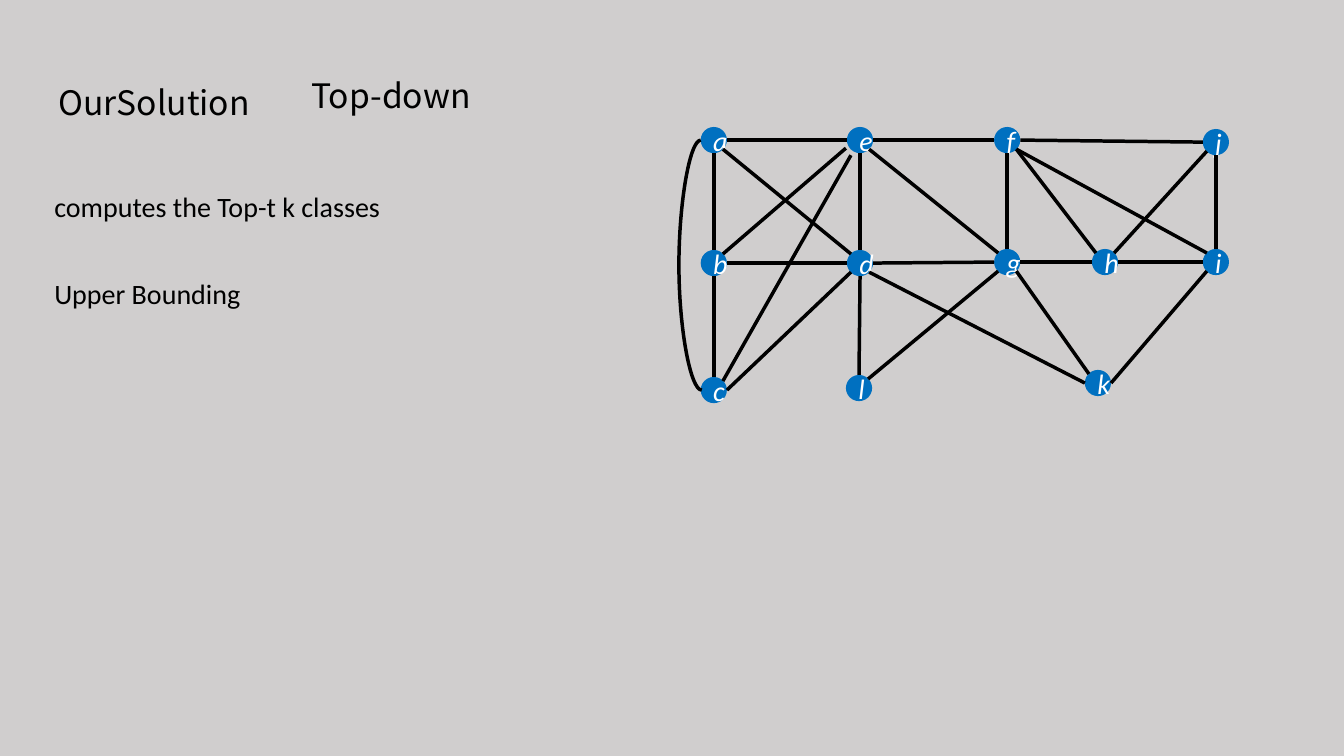
"""Build the slide with the top-down solution notes and the example graph."""
import pptx
import pptx.dml.color
import pptx.enum.shapes
import pptx.enum.text
import pptx.util
from lxml import etree
from pptx.util import Inches

THEME = {
    "background": pptx.dml.color.RGBColor.from_string("D0CECE"),
    "ink": pptx.dml.color.RGBColor.from_string("000000"),
    "node": pptx.dml.color.RGBColor.from_string("0070C0"),
    "label": pptx.dml.color.RGBColor.from_string("FFFFFF"),
    "heading": {"name": "Noto Sans CJK SC", "size": pptx.util.Pt(24)},
    "body": {"name": "Calibri", "size": pptx.util.Pt(20)},
    "node_text": {"name": "Calibri", "size": pptx.util.Pt(20), "italic": True},
    "edge_width": pptx.util.Pt(2.5),
}
DIAMETER = 0.26
RADIUS = DIAMETER / 2
A_NAMESPACE = "{http://schemas.openxmlformats.org/drawingml/2006/main}"


def write_text(shape, text, style, color):
    """Put one styled run into the shape and return its paragraph."""
    paragraph = shape.text_frame.paragraphs[0]
    run = paragraph.add_run()
    run.text = text
    for name, value in THEME[style].items():
        setattr(run.font, name, value)
    run.font.color.rgb = THEME[color]
    return paragraph


def add_edge(kind, start, end):
    """Draw one graph edge between two points given in inches."""
    edge = slide.shapes.add_connector(kind, *[Inches(value) for value in (*start, *end)])
    edge.line.color.rgb = THEME["ink"]
    edge.line.width = THEME["edge_width"]
    etree.SubElement(edge._element.spPr, A_NAMESPACE + "effectLst")
    return edge


presentation = pptx.Presentation()
presentation.slide_width = Inches(13.33)
presentation.slide_height = Inches(7.5)
slide = presentation.slides.add_slide(presentation.slide_layouts[6])
slide.background.fill.solid()
slide.background.fill.fore_color.rgb = THEME["background"]

notes = [
    ("OurSolution", "heading", 1.5, (0.48, 0.56, 2.15, 0.64)),
    ("Top-down", "heading", None, (2.99, 0.69, 1.84, 0.5)),
    ("computes the Top-t k classes", "body", None, (0.44, 1.83, 3.47, 0.44)),
    ("Upper Bounding", "body", None, (0.44, 2.69, 2.06, 0.44)),
]
for text, style, line_spacing, box in notes:
    note = slide.shapes.add_textbox(*[Inches(value) for value in box])
    note.text_frame.word_wrap = False
    note.text_frame.auto_size = pptx.enum.text.MSO_AUTO_SIZE.SHAPE_TO_FIT_TEXT
    write_text(note, text, style, "ink").line_spacing = line_spacing

nodes = {
    "a": (7.08, 1.39), "b": (7.08, 2.61), "c": (7.08, 3.87),
    "d": (8.53, 2.61), "e": (8.53, 1.39), "l": (8.52, 3.85),
    "f": (9.99, 1.39), "g": (9.99, 2.6), "j": (12.06, 1.41),
    "h": (10.96, 2.6), "i": (12.06, 2.6), "k": (10.89, 3.8),
}
for letter, (x, y) in nodes.items():
    node = slide.shapes.add_shape(
        pptx.enum.shapes.MSO_SHAPE.OVAL,
        Inches(x - RADIUS), Inches(y - RADIUS), Inches(DIAMETER), Inches(DIAMETER),
    )
    node.shadow.inherit = False
    node.fill.solid()
    node.fill.fore_color.rgb = THEME["node"]
    node.line.fill.background()
    node.text_frame.vertical_anchor = pptx.enum.text.MSO_ANCHOR.MIDDLE
    write_text(node, letter, "node_text", "label").alignment = pptx.enum.text.PP_ALIGN.CENTER

sites = {
    "N": (0, -RADIUS), "S": (0, RADIUS), "W": (-RADIUS, 0), "E": (RADIUS, 0),
    "NW": (-0.09, -0.09), "NE": (0.09, -0.09), "SW": (-0.09, 0.09), "SE": (0.09, 0.09),
    "WSW": (-0.14, 0.08), "SSW": (-0.09, 0.15),
}
edges = [
    "c N b S", "b N a S", "e W a E", "d W b E", "d SW c E", "d N e S",
    "d NW a SE", "e WSW b NE", "e SSW c NE", "g W d E", "f W e E", "g NW e SE",
    "g N f S", "l N d S", "l NE g SW", "h NW f SE", "h W g E", "i W h E",
    "i N j S", "j W f E", "j SW h NE", "i NW f SE", "k NW g SE", "k W d SE", "k E i SW",
]
for edge in edges:
    first, first_site, second, second_site = edge.split()
    start, end = [
        [center + offset for center, offset in zip(nodes[letter], sites[site])]
        for letter, site in ((first, first_site), (second, second_site))
    ]
    add_edge(pptx.enum.shapes.MSO_CONNECTOR.STRAIGHT, start, end)

outer_arc = add_edge(pptx.enum.shapes.MSO_CONNECTOR.CURVE, (6.95, 1.39), (6.96, 3.87))
properties = outer_arc._element.spPr
properties.find(A_NAMESPACE + "xfrm").set("rot", "10800000")
geometry = properties.find(A_NAMESPACE + "prstGeom")
guides = geometry.find(A_NAMESPACE + "avLst")
etree.SubElement(guides, A_NAMESPACE + "gd", name="adj1", fmla="val 2300000")

presentation.save("out.pptx")
